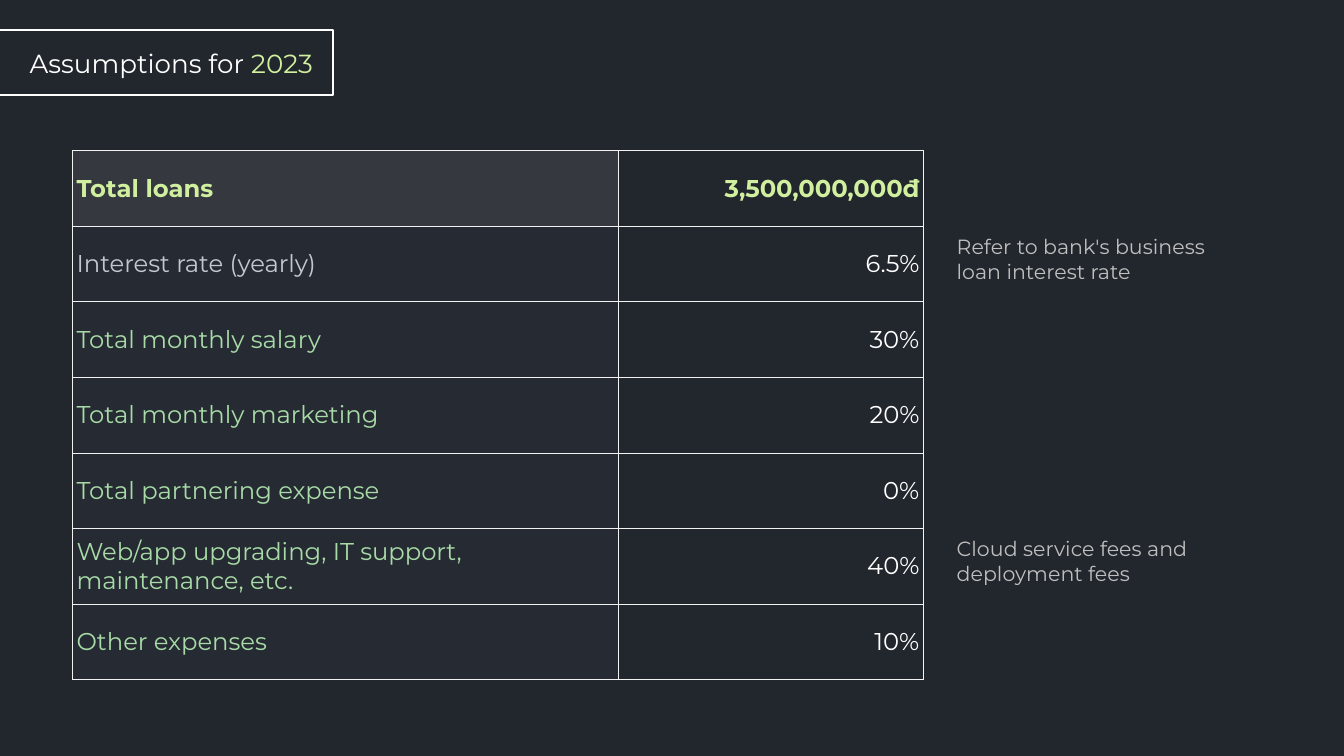
from dataclasses import dataclass

from pptx import Presentation
from pptx.dml.color import RGBColor
from pptx.enum.shapes import MSO_SHAPE
from pptx.enum.text import MSO_ANCHOR, PP_ALIGN
from pptx.oxml import parse_xml
from pptx.oxml.ns import nsdecls, qn
from pptx.util import Inches, Pt

RECT = MSO_SHAPE.RECTANGLE
MIDDLE, TOP = MSO_ANCHOR.MIDDLE, MSO_ANCHOR.TOP
LEFT, CENTER, RIGHT = PP_ALIGN.LEFT, PP_ALIGN.CENTER, PP_ALIGN.RIGHT

DARK = RGBColor(0x22, 0x26, 0x2D)
WHITE = RGBColor(0xFF, 0xFF, 0xFF)
LIME = RGBColor(0xD0, 0xF0, 0x9F)
GREEN = RGBColor(0xA8, 0xDB, 0xA7)
SILVER = RGBColor(0xC2, 0xC7, 0xD1)
GREY = RGBColor(0xBF, 0xBF, 0xBF)
PALE = RGBColor(0xDD, 0xDD, 0xDD)
SLATE = RGBColor(0x50, 0x5A, 0x6A)
EDGE = RGBColor(0xF2, 0xF2, 0xF2)

FONT = "Montserrat"
WIDE = 10
HIGH = WIDE * 9 / 16

# Table grid, in inches
GRID_X, GRID_Y = 0.54, 1.12
COLS = (4.06, 2.27)
ROW = HIGH / 10
NOTE_X = GRID_X + sum(COLS) + 0.15


@dataclass
class Item:
    label: str
    value: str
    ink: RGBColor = GREEN
    tint: RGBColor = SLATE
    tone: RGBColor = WHITE
    bold: bool = False


@dataclass
class Note:
    row: int
    width: float
    text: str


ITEMS = [
    Item("Total loans", "3,500,000,000đ", LIME, PALE, LIME, True),
    Item("Interest rate (yearly)", "6.5%", SILVER),
    Item("Total monthly salary", "30%"),
    Item("Total monthly marketing", "20%"),
    Item("Total partnering expense", "0%"),
    Item("Web/app upgrading, IT support, maintenance, etc.", "40%"),
    Item("Other expenses", "10%"),
]
NOTES = [
    Note(1, 2.39, "Refer to bank's business loan interest rate"),
    Note(5, 2.64, "Cloud service fees and deployment fees"),
]


def style(run, size: float, ink: RGBColor, bold: bool = False) -> None:
    font = run.font
    font.name, font.size, font.bold = FONT, Pt(size), bold
    font.color.rgb = ink


def add_text(slide, x: float, y: float, w: float, h: float, text: str,
             size: float, ink: RGBColor, align=LEFT, anchor=TOP):
    box = slide.shapes.add_textbox(Inches(x), Inches(y), Inches(w), Inches(h))
    frame = box.text_frame
    frame.word_wrap = True
    frame.vertical_anchor = anchor
    frame.text = text
    para = frame.paragraphs[0]
    para.alignment = align
    style(para.runs[0], size, ink)
    return para


def add_title(slide) -> None:
    # The frame starts left of the slide so that its left side is cut off
    frame = slide.shapes.add_shape(RECT, Inches(-0.07), Inches(0.22),
                                   Inches(2.55), Inches(0.49))
    frame.shadow.inherit = False
    frame.fill.background()
    frame.line.color.rgb = WHITE
    frame.line.width = Pt(1)
    para = add_text(slide, 0, 0.33, 2.55, 0.28, "Assumptions for ",
                    14, WHITE, CENTER, MIDDLE)
    year = para.add_run()
    year.text = "2023"
    style(year, 14, LIME)


def add_edges(cell) -> None:
    props = cell._tc.get_or_add_tcPr()
    for side in ("lnL", "lnR", "lnT", "lnB"):
        props.append(parse_xml(
            f'<a:{side} {nsdecls("a")} w="{Pt(0.25)}"><a:solidFill>'
            f'<a:srgbClr val="{EDGE}"/></a:solidFill></a:{side}>'))


def tint_cell(cell, tint: RGBColor) -> None:
    cell.fill.solid()
    cell.fill.fore_color.rgb = tint
    color = cell._tc.tcPr.find(qn("a:solidFill"))[0]
    color.append(parse_xml(f'<a:alpha {nsdecls("a")} val="10000"/>'))


def fill_cell(cell, text: str, ink: RGBColor, bold: bool, align) -> None:
    cell.margin_left = cell.margin_right = Inches(0.03)
    cell.margin_top = cell.margin_bottom = Inches(0.02)
    cell.vertical_anchor = MIDDLE
    cell.text_frame.text = text
    para = cell.text_frame.paragraphs[0]
    para.alignment = align
    style(para.runs[0], 13, ink, bold)
    add_edges(cell)


def add_grid(slide) -> None:
    table = slide.shapes.add_table(
        len(ITEMS), len(COLS), Inches(GRID_X), Inches(GRID_Y),
        Inches(sum(COLS)), Inches(ROW * len(ITEMS))).table
    table.first_row = table.horz_banding = False
    for col, width in zip(table.columns, COLS):
        col.width = Inches(width)
    for r, item in enumerate(ITEMS):
        table.rows[r].height = Inches(ROW)
        name, value = table.cell(r, 0), table.cell(r, 1)
        fill_cell(name, item.label, item.ink, item.bold, LEFT)
        tint_cell(name, item.tint)
        fill_cell(value, item.value, item.tone, item.bold, RIGHT)
        value.fill.background()


def main() -> None:
    deck = Presentation()
    deck.slide_width, deck.slide_height = Inches(WIDE), Inches(HIGH)
    slide = deck.slides.add_slide(deck.slide_layouts[6])
    slide.background.fill.solid()
    slide.background.fill.fore_color.rgb = DARK

    add_title(slide)
    add_grid(slide)
    # Side notes, each level with its table row
    for note in NOTES:
        add_text(slide, NOTE_X, GRID_Y + note.row * ROW + 0.01,
                 note.width, 0.47, note.text, 11, GREY)
    deck.save("out.pptx")


if __name__ == "__main__":
    main()
